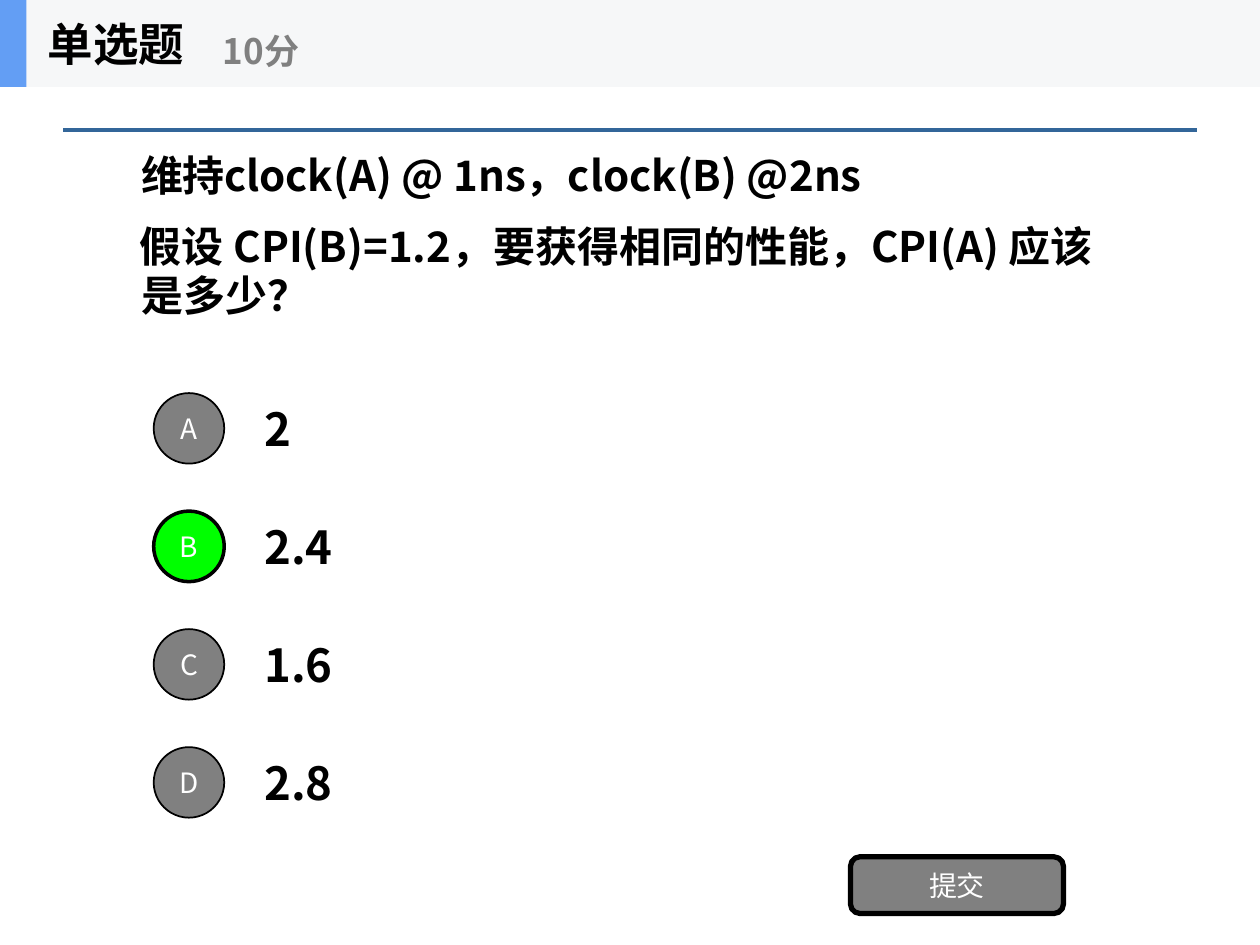
from lxml import etree
from pptx import Presentation
from pptx.dml.color import RGBColor
from pptx.enum import shapes, text
from pptx.oxml import ns
from pptx.util import Inches, Pt

# Content
HEADING = "单选题"
POINTS = "10分"
QUESTION = [  # runs (text, letter spacing), paragraph format, left margin, indent
    ([("维持", -0.5), ("clock(A) @ 1ns，clock(B) @2ns", 0)],
     dict(space_before=Pt(0)), 0.01, 0.01),
    ([("假设 CPI(B)=1.2，要获得相同的性能，CPI(A) 应该是多少？", 0)],
     dict(space_before=Pt(12.8), line_spacing=Pt(27.9)), 0.02, -0.01),
]
OPTIONS = [("A", "2"), ("B", "2.4"), ("C", "1.6"), ("D", "2.8")]
CORRECT = "B"
SUBMIT = "提交"

# Style
FONT = "Noto Sans CJK SC"
BLACK = RGBColor(0x00, 0x00, 0x00)
WHITE = RGBColor(0xFF, 0xFF, 0xFF)
GRAY = RGBColor(0x80, 0x80, 0x80)
GREEN = RGBColor(0x00, 0xFF, 0x00)
RULE_BLUE = RGBColor(0x33, 0x66, 0x99)
BAND = RGBColor(0xF6, 0xF7, 0xF8)
ACCENT = RGBColor(0x63, 0x9E, 0xF4)

HEADER_H = 0.69
FIRST_TOP, LAST_TOP = 3.05, 5.86
OPTION_H, CIRCLE = 0.7, 0.56
LEFT, CENTER = text.PP_ALIGN.LEFT, text.PP_ALIGN.CENTER


def place(sp, left, top, width, height):
    sp.left, sp.top = Inches(left), Inches(top)
    sp.width, sp.height = Inches(width), Inches(height)


def add_run(p, words, size, color, bold, spacing=0):
    r = p.add_run()
    r.text = words
    r.font.color.rgb = color
    for name, value in dict(name=FONT, size=Pt(size), bold=bold).items():
        setattr(r.font, name, value)
    r_pr = r.font._element if hasattr(r.font, "_element") else r._r.get_or_add_rPr()
    etree.SubElement(r_pr, ns.qn("a:ea"), typeface=FONT)
    if spacing:
        r_pr.set("spc", str(int(spacing * 100)))


def set_frame(sp, wrap=True):
    tf = sp.text_frame
    frame_format = dict(word_wrap=wrap, auto_size=text.MSO_AUTO_SIZE.NONE,
                        vertical_anchor=text.MSO_ANCHOR.MIDDLE)
    for name, value in frame_format.items():
        setattr(tf, name, value)
    return tf


def write(sp, words, size, color, bold=True, align=LEFT, wrap=True):
    p = set_frame(sp, wrap).paragraphs[0]
    p.alignment = align
    add_run(p, words, size, color, bold)


def add_label(s, words, box, size, color, wrap=True):
    write(s.shapes.add_textbox(*map(Inches, box)), words, size, color, wrap=wrap)


def add_block(s, kind, box, fill, line_width=0):
    sp = s.shapes.add_shape(kind, *map(Inches, box))
    sp.shadow.inherit = False
    sp.fill.solid()
    sp.fill.fore_color.rgb = fill
    if line_width:
        sp.line.color.rgb = BLACK
        sp.line.width = Pt(line_width)
    else:
        sp.line.fill.background()
    return sp


def main():
    prs = Presentation()
    prs.slide_width, prs.slide_height = Inches(10), Inches(7.5)
    s = prs.slides.add_slide(prs.slide_layouts[1])
    title, body = s.placeholders[0], s.placeholders[1]

    # Rule under the header
    rule = s.shapes.add_connector(shapes.MSO_CONNECTOR.STRAIGHT, Inches(0.5),
                                  Inches(1.03), Inches(9.5), Inches(1.03))
    rule.line.color.rgb = RULE_BLUE
    rule.line.width = Pt(2)
    etree.SubElement(rule._element.spPr, ns.qn("a:effectLst"))

    # Question
    place(body, 1, 0.69, 8, 2.34)
    tf = set_frame(body)
    for i, (runs, para_format, margin, indent) in enumerate(QUESTION):
        p = tf.add_paragraph() if i else tf.paragraphs[0]
        p_pr = p._p.get_or_add_pPr()
        p_pr.set("marL", str(Inches(margin)))
        p_pr.set("indent", str(Inches(indent)))
        etree.SubElement(p_pr, ns.qn("a:buNone"))
        for name, value in para_format.items():
            setattr(p, name, value)
        for words, spacing in runs:
            add_run(p, words, 24, BLACK, True, spacing)

    # Options
    pitch = (LAST_TOP - FIRST_TOP) / (len(OPTIONS) - 1)
    for i, (letter, answer) in enumerate(OPTIONS):
        top = FIRST_TOP + i * pitch
        add_label(s, answer, (2, top, 7, OPTION_H), 26, BLACK)
        fill, width = (GREEN, 2) if letter == CORRECT else (GRAY, 1)
        box = (1.22, top + (OPTION_H - CIRCLE) / 2, CIRCLE, CIRCLE)
        circle = add_block(s, shapes.MSO_SHAPE.OVAL, box, fill, width)
        write(circle, letter, 16, WHITE, False, CENTER)

    # Submit button
    button = add_block(s, shapes.MSO_SHAPE.ROUNDED_RECTANGLE,
                       (6.75, 6.8, 1.69, 0.45), GRAY, 3)
    write(button, SUBMIT, 16, WHITE, False, CENTER)

    # Header band, with the title brought in front of it
    for width, fill in ((10, BAND), (0.21, ACCENT)):
        add_block(s, shapes.MSO_SHAPE.RECTANGLE, (0, 0, width, HEADER_H), fill)
    place(title, 0.28, 0, 2.08, HEADER_H)
    write(title, HEADING, 26, BLACK, wrap=False)
    s.shapes.element.append(title.element)
    add_label(s, POINTS, (1.67, 0.12, 2.5, 0.56), 20, GRAY, wrap=False)

    prs.save("out.pptx")


if __name__ == "__main__":
    main()
